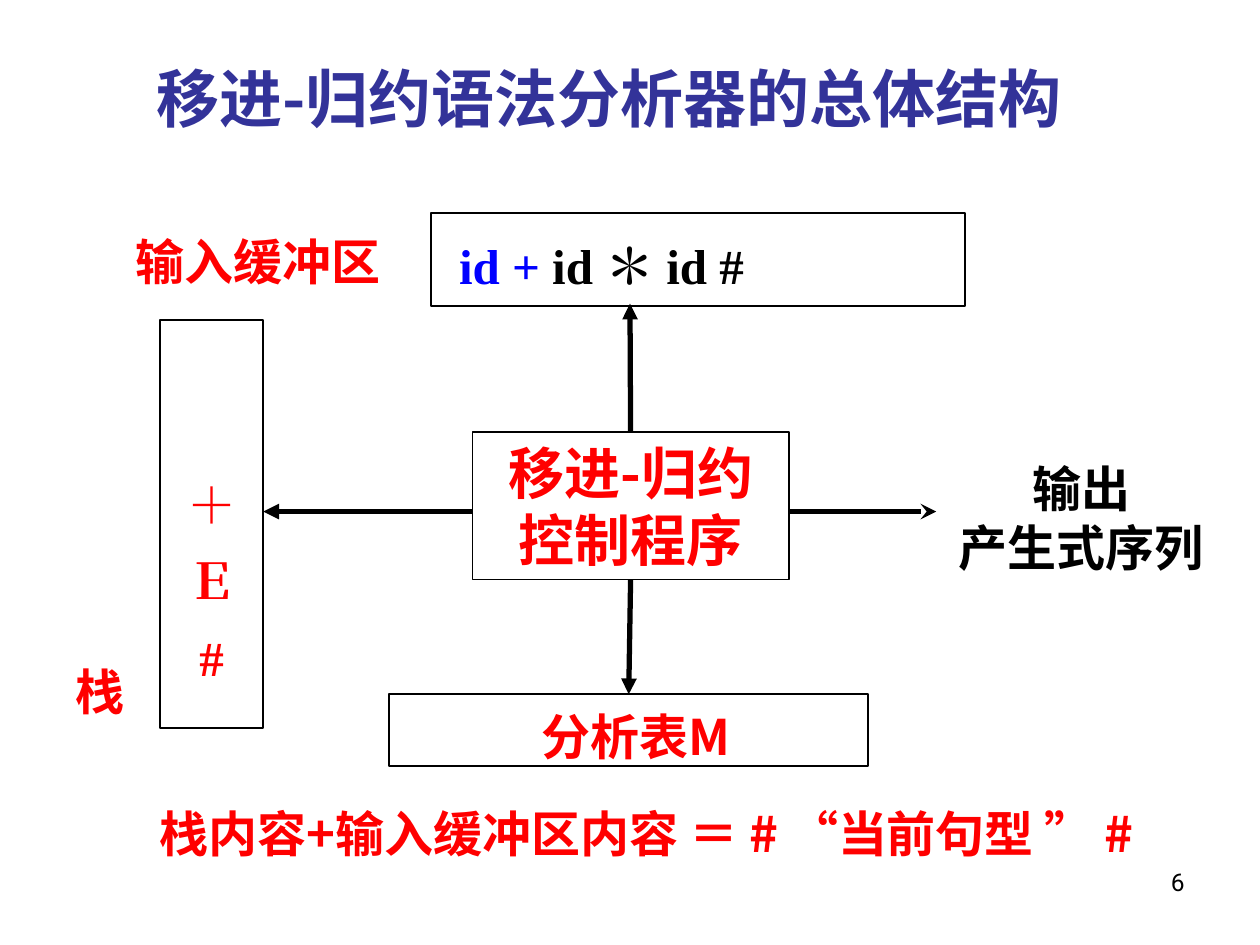
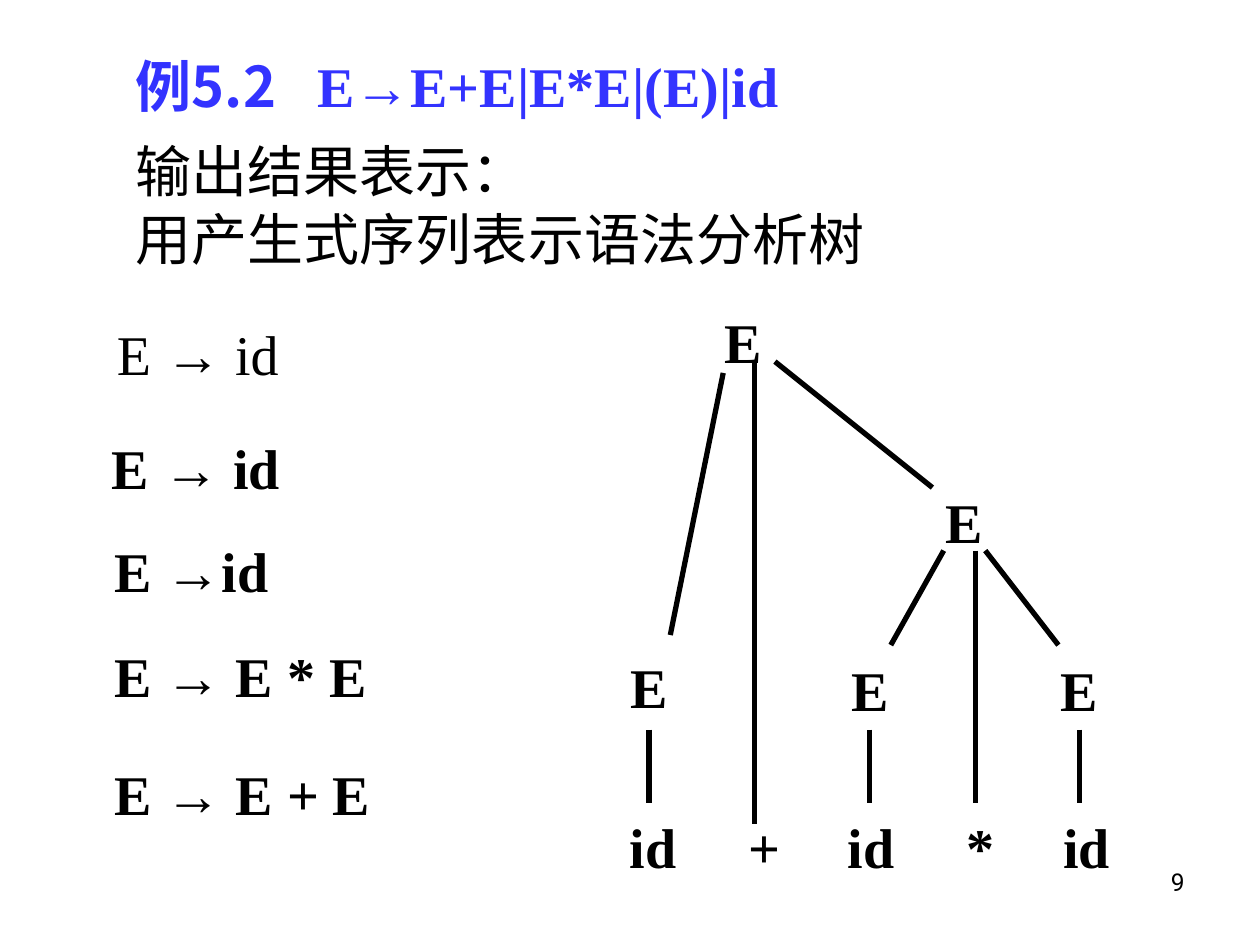
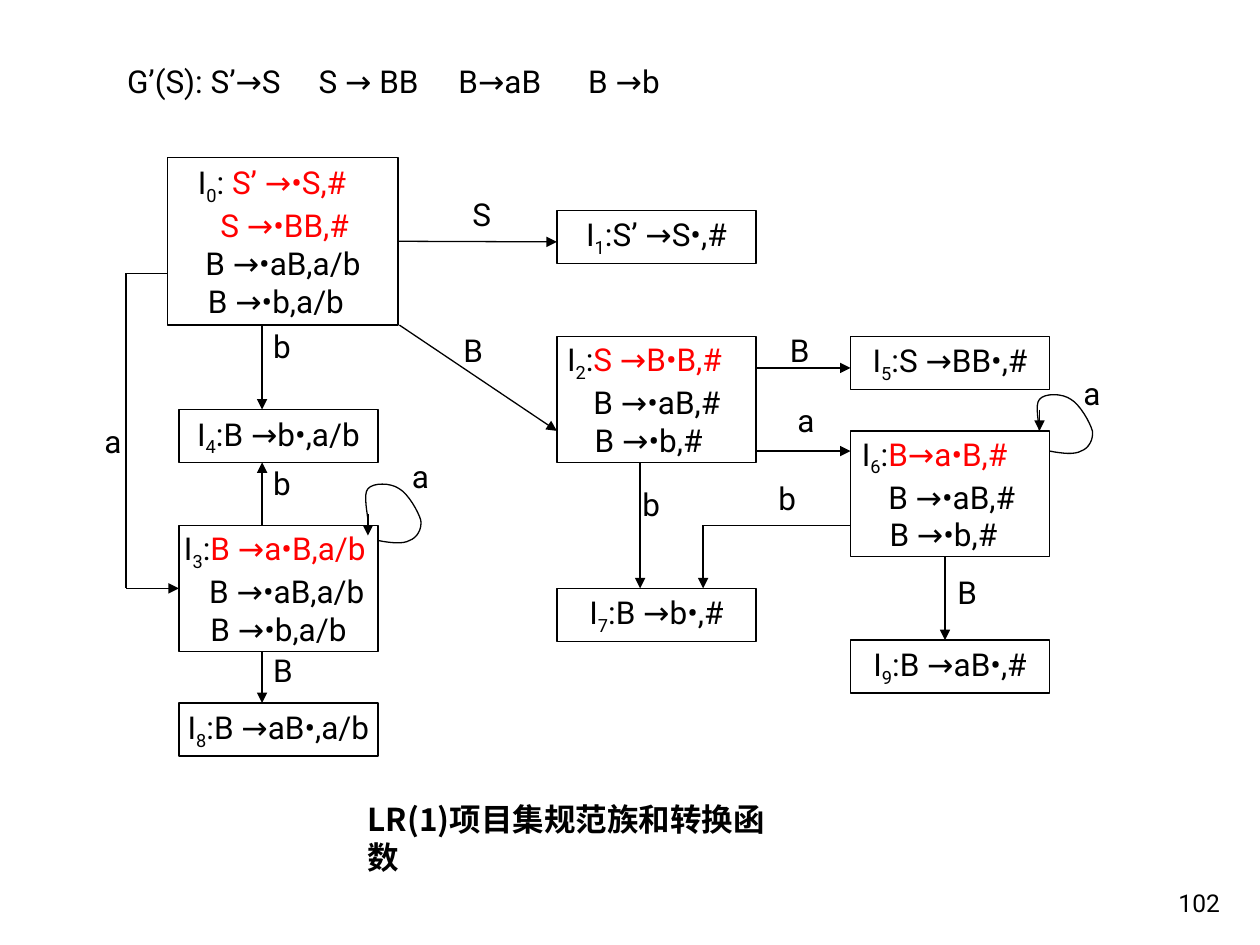
from lxml import etree
from pptx import Presentation
from pptx.dml.color import RGBColor
from pptx.enum.shapes import MSO_CONNECTOR, MSO_SHAPE
from pptx.enum.text import MSO_ANCHOR, PP_ALIGN
from pptx.oxml.ns import qn
from pptx.util import Inches, Pt

LEFT, CENTER, RIGHT = PP_ALIGN.LEFT, PP_ALIGN.CENTER, PP_ALIGN.RIGHT
TOP, MIDDLE, BOTTOM = MSO_ANCHOR.TOP, MSO_ANCHOR.MIDDLE, MSO_ANCHOR.BOTTOM
STRAIGHT, RECT = MSO_CONNECTOR.STRAIGHT, MSO_SHAPE.RECTANGLE
COLORS = {"black": "000000", "white": "FFFFFF", "red": "FF0000",
          "blue": "0000FF", "title": "333399", "example": "3333FF"}
CJK, ROBOTO, TIMES = "Noto Sans CJK JP", "Roboto", "Times New Roman"


def text(s, box, paras, size, font=ROBOTO, color="black", bold=False, align=LEFT,
         anchor=TOP, wrap=True, outline=0, fill=None, tabs=(), spacing=None):
    """Add a text box, or a rectangle if outlined; a paragraph is a string or
    a list of (string, settings) runs."""
    at = [Inches(v) for v in box]
    if outline:
        sp = s.shapes.add_shape(RECT, *at)
        sp.shadow.inherit = False
        sp.line.color.rgb = RGBColor.from_string(COLORS["black"])
        sp.line.width = Pt(outline)
        if fill:
            sp.fill.solid()
            sp.fill.fore_color.rgb = RGBColor.from_string(COLORS[fill])
        else:
            sp.fill.background()
    else:
        sp = s.shapes.add_textbox(*at)
    tf = sp.text_frame
    tf.word_wrap = wrap
    tf.vertical_anchor = anchor
    for i, para in enumerate(paras):
        p = tf.add_paragraph() if i else tf.paragraphs[0]
        p.alignment = align
        if spacing:
            p.line_spacing = spacing
        if tabs:
            tab_list = etree.SubElement(p._p.get_or_add_pPr(), qn("a:tabLst"))
            for pos in tabs:
                etree.SubElement(tab_list, qn("a:tab"), pos=str(Inches(pos)), algn="l")
        for words, own in [(para, {})] if isinstance(para, str) else para:
            r = p.add_run()
            r.text = words
            r.font.size = Pt(own.get("size", size))
            r.font.bold = bold
            r.font.name = own.get("font", font)
            r.font.color.rgb = RGBColor.from_string(COLORS[own.get("color", color)])
            rPr = r._r.get_or_add_rPr()
            etree.SubElement(rPr, qn("a:ea"), typeface=r.font.name)
            if "baseline" in own:
                rPr.set("baseline", own["baseline"])
    return sp


def line(s, start, end, width, arrow=None):
    c = s.shapes.add_connector(STRAIGHT, *[Inches(v) for v in (*start, *end)])
    c.line.color.rgb = RGBColor.from_string(COLORS["black"])
    c.line.width = Pt(width)
    if arrow:
        etree.SubElement(c.line._get_or_add_ln(), qn("a:tailEnd"), type=arrow)
    etree.SubElement(c._element.spPr, qn("a:effectLst"))
    return c


prs = Presentation()
prs.slide_width, prs.slide_height = Inches(10), Inches(7.5)
parser, tree, automaton = [prs.slides.add_slide(prs.slide_layouts[6]) for _ in range(3)]

# Page numbers
for s, number, box, anchor in [(parser, "6", (7.17, 6.83, 2.33, 0.52), TOP),
                               (tree, "9", (7.17, 6.83, 2.33, 0.52), TOP),
                               (automaton, "102", (7.7, 6.83, 2.08, 0.5), BOTTOM)]:
    text(s, box, [number], 14, align=RIGHT, anchor=anchor)

# Slide 1: structure of the shift-reduce parser
s = parser
text(s, (1.14, 0.39, 8.5, 0.76), ["移进-归约语法分析器的总体结构"], 36, CJK, "title",
     True, anchor=MIDDLE)
text(s, (3.42, 1.69, 4.24, 0.74),
     [[(" ", {"size": 36}), ("id + ", {"color": "blue"}), ("id ＊ id #", {})]],
     28, TIMES, bold=True, anchor=MIDDLE, wrap=False, outline=1)
stack = text(s, (1.27, 2.54, 0.82, 3.24), ["＋", "Ｅ", "#"], 28, TIMES, "red", True,
             CENTER, MIDDLE, False, 1, spacing=1.3)
stack.text_frame.margin_top = Inches(0.8)
control = text(s, (3.75, 3.43, 2.51, 1.17), ["移进-归约", "控制程序"], 32, CJK, "red",
               True, CENTER, MIDDLE, False, 1)
table = text(s, (3.09, 5.51, 3.8, 0.57), [[(" ", {"size": 36}), ("分析表M", {})]],
             28, CJK, "red", True, CENTER, MIDDLE, False, 1)
text(s, (7.44, 3.59, 2.28, 1.03), ["输出", "产生式序列"], 28, CJK, bold=True, align=CENTER)
for box, words, wrap in [
        ((1.17, 6.33, 8.25, 0.57), "栈内容+输入缓冲区内容 ＝ # “当前句型 ” #", True),
        ((0.5, 5.2, 0.59, 0.57), "栈", False),
        ((0.98, 1.79, 2.28, 0.57), "输入缓冲区", False)]:
    text(s, box, [words], 28, CJK, "red", True, wrap=wrap)

# Arrows out of the control program
c = line(s, (5, 3.43), (5, 2.41), 3, "triangle")
c.begin_connect(control, 0)
c = line(s, (5, 4.6), (4.99, 5.51), 3, "triangle")
c.begin_connect(control, 2)
c.end_connect(table, 0)
line(s, (6.26, 4.06), (7.43, 4.06), 3, "stealth")
line(s, (3.75, 4.06), (2.09, 4.06), 3, "triangle")

# Slide 2: productions and parse tree
s = tree
text(s, (0.98, 0.36, 6.3, 0.64),
     [[("例5.2\t", {}), ("E→E+E|E*E|(E)|id", {"font": TIMES})]],
     32, CJK, "example", True, tabs=[1.44])
text(s, (0.98, 0.44, 6.85, 2.36), ["输出结果表示：", "用产生式序列表示语法分析树"],
     32, CJK, anchor=MIDDLE)
text(s, (0.83, 2.49, 1.9, 0.64), ["E → id"], 32, TIMES)
for left, top, production in [(0.79, 3.45, "E → id"), (0.81, 4.27, "E →id"),
                              (0.81, 5.1, "E → E * E"), (0.81, 6.04, "E → E + E")]:
    text(s, (left, top, 2.5, 0.58), [production], 32, TIMES, bold=True, spacing=0.9)

# Tree nodes, leaves and branches
for left, top in [(5.65, 2.39), (7.41, 3.82), (4.91, 5.13), (6.66, 5.15), (8.32, 5.15)]:
    text(s, (left, top, 0.5, 0.63), ["E"], 32, TIMES, bold=True, wrap=False)
text(s, (4.9, 6.4, 4.12, 0.63), ["id\t+\tid\t*\tid"], 32, TIMES, bold=True,
     tabs=[0.94, 1.73, 2.67, 3.44])
for x in (5.15, 6.9, 8.57):
    line(s, (x, 5.79), (x, 6.37), 3)
for start, end in [((5.74, 2.96), (5.32, 5.04)), ((5.99, 2.87), (5.99, 6.54)),
                   ((6.15, 2.87), (7.4, 3.87)), ((7.49, 4.37), (7.07, 5.12)),
                   ((7.74, 4.37), (7.74, 6.37)), ((7.82, 4.37), (8.4, 5.12))]:
    line(s, start, end, 3)

# Slide 3: LR(1) item sets
s = automaton
text(s, (0.91, 0.44, 4.91, 0.4), ["G’(S): S’→S\tS → BB\tB→aB\tB →b"], 18,
     tabs=[1.52, 2.63, 3.66])
text(s, (2.82, 6.3, 3.54, 0.4), ["LR(1)项目集规范族和转换函数"], 18, CJK, bold=True)

# State boxes: number, place, separator, items, colour of kernel items, indents
states = [
    (0, (1.33, 1.25, 1.83, 1.33), ": ",
     ["S’ →•S,#", "S →•BB,#", "B →•aB,a/b", "B →•b,a/b"], 2, [0.24, 0.42, 0.3, 0.32]),
    (2, (4.42, 2.67, 1.58, 1), ":", ["S →B•B,#", "B →•aB,#", "B →•b,#"], 1, [0.08, 0.29, 0.3]),
    (6, (6.75, 3.42, 1.58, 1), ":", ["B→a•B,#", "B →•aB,#", "B →•b,#"], 1, [0.09, 0.3, 0.31]),
    (3, (1.42, 4.17, 1.58, 1), ":",
     ["B →a•B,a/b", "B →•aB,a/b", "B →•b,a/b"], 1, [0.04, 0.24, 0.25])]
for number, left, top, item in [(1, 4.42, 1.67, "S’ →S•,#"), (5, 6.75, 2.67, "S →BB•,#"),
                                (4, 1.42, 3.25, "B →b•,a/b"), (7, 4.42, 4.67, "B →b•,#"),
                                (9, 6.75, 5.08, "B →aB•,#"), (8, 1.42, 5.58, "B →aB•,a/b")]:
    states.append((number, (left, top, 1.58, 0.42), ":", [item], 0, []))
boxes = {}
for number, box, mark, items, reds, indents in states:
    paras = [[(item, {"color": "red" if i < reds else "black"})]
             for i, item in enumerate(items)]
    paras[0] = [("I", {}), (str(number), {"baseline": "-25000"}), (mark, {})] + paras[0]
    sp = text(s, box, paras, 18, align=LEFT if indents else CENTER, anchor=MIDDLE,
              outline=0.75, fill="white")
    tf = sp.text_frame
    tf.margin_left = tf.margin_right = 0
    for p, indent in zip(tf.paragraphs, indents):
        p._p.get_or_add_pPr().set("marL", str(Inches(indent)))
    boxes[number] = sp

# Transitions
for start, end in [((3.17, 2.58), (4.42, 3.42)), ((6, 2.92), (6.75, 2.92)),
                   ((6, 3.58), (6.75, 3.58)), ((5.08, 3.67), (5.08, 4.67)),
                   ((2.08, 2.58), (2.08, 3.25)), ((2.08, 4.17), (2.08, 3.67)),
                   ((2.08, 5.17), (2.08, 5.58)), ((7.5, 4.42), (7.5, 5.08)),
                   ((5.58, 4.17), (5.58, 4.67))]:
    line(s, start, end, 0.75, "triangle")
for start, end in [((6.75, 4.17), (5.58, 4.17)), ((1.33, 2.17), (1, 2.17)),
                   ((1, 2.17), (1, 4.67))]:
    line(s, start, end, 0.75)
c = line(s, (3.16, 1.92), (4.42, 1.92), 0.75, "triangle")
c.begin_connect(boxes[0], 3)
c = line(s, (1, 4.67), (1.42, 4.67), 0.75, "triangle")
c.end_connect(boxes[3], 1)

# Self loops: cubic curves around the upper right corner, then an arrowhead
curves = [(0.1, 0.02, 0.2, 0.03, 0.25, 0), (0.31, -0.02, 0.35, -0.09, 0.34, -0.16),
          (0.32, -0.23, 0.24, -0.37, 0.17, -0.41), (0.1, -0.46, -0.04, -0.46, -0.08, -0.41),
          (-0.12, -0.37, -0.08, -0.2, -0.08, -0.16)]
STEPS = 8
for x, y, tip in [(8.33, 3.58, 3.42), (3, 4.29, 4.25)]:
    points, (px, py) = [], (0, 0)
    for ax, ay, bx, by, ex, ey in curves:
        for t in [i / STEPS for i in range(1, STEPS + 1)]:
            u = 1 - t
            dx, dy = [u**3 * a + 3 * u * u * t * b + 3 * u * t * t * d + t**3 * e
                      for a, b, d, e in ((px, ax, bx, ex), (py, ay, by, ey))]
            points.append((Inches(x + dx), Inches(y + dy)))
        px, py = ex, ey
    builder = s.shapes.build_freeform(Inches(x), Inches(y))
    builder.add_line_segments(points, close=False)
    sp = builder.convert_to_shape()
    sp.shadow.inherit = False
    sp.fill.background()
    sp.line.color.rgb = RGBColor.from_string(COLORS["black"])
    sp.line.width = Pt(0.75)
    line(s, (x - 0.08, tip - 0.17), (x - 0.08, tip), 0.75, "triangle")

# Transition symbols
for symbol, places in {
        "S": [(3.65, 1.5)],
        "B": [(3.58, 2.58), (6.17, 2.58), (2.07, 5.12), (7.5, 4.5)],
        "a": [(6.23, 3.13), (0.73, 3.3), (8.5, 2.92), (3.17, 3.58)],
        "b": [(5, 3.8), (2.07, 2.55), (2.07, 3.63), (6.08, 3.75)]}.items():
    for left, top in places:
        text(s, (left, top, 0.36, 0.4), [symbol], 18, wrap=False)

prs.save("out.pptx")
